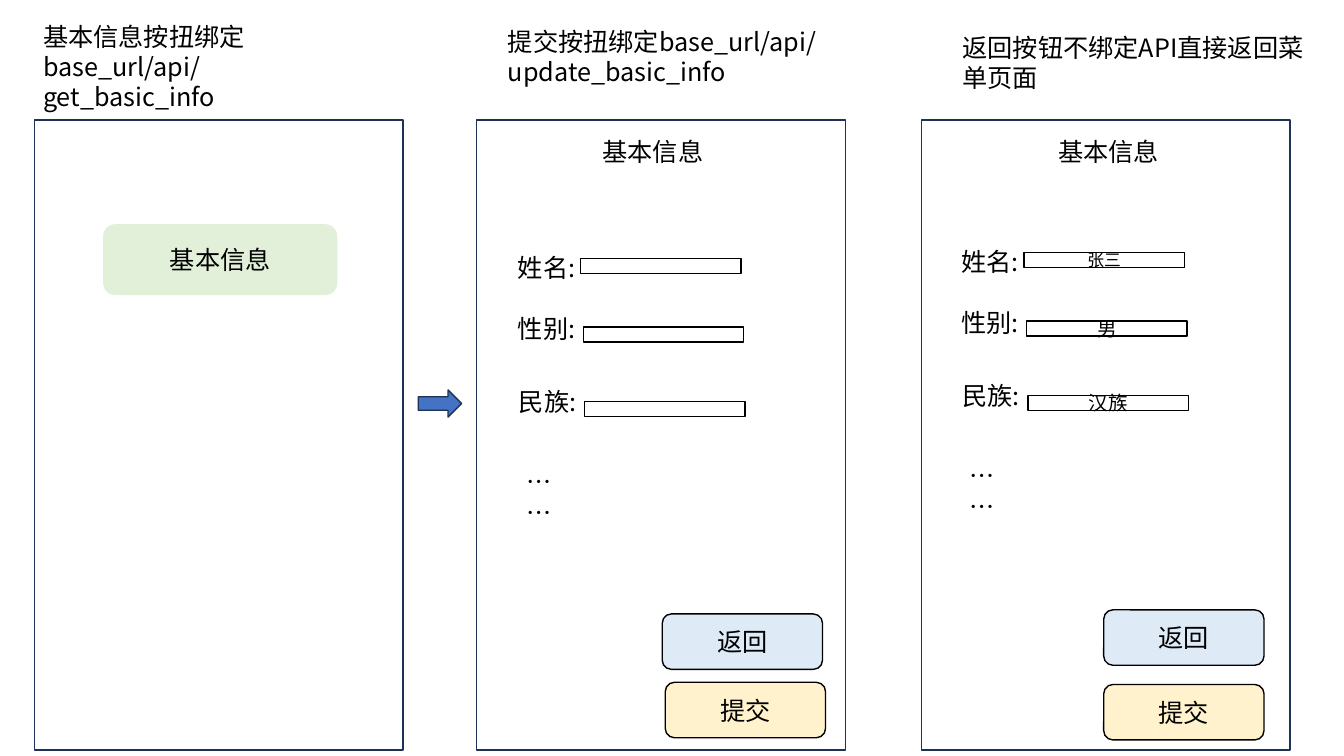
from pptx import Presentation
from pptx.dml.color import RGBColor
from pptx.enum.shapes import MSO_SHAPE
from pptx.enum.text import MSO_ANCHOR, MSO_AUTO_SIZE, PP_ALIGN
from pptx.oxml.ns import qn
from pptx.util import Inches, Pt
from lxml.etree import SubElement

BLACK = RGBColor(0x00, 0x00, 0x00)
NAVY = RGBColor(0x1E, 0x32, 0x56)
BLUE = RGBColor(0x44, 0x72, 0xC4)
GREEN = RGBColor(0xE2, 0xF0, 0xD9)
YELLOW = RGBColor(0xFF, 0xF2, 0xCC)
PALE_BLUE = RGBColor(0xDE, 0xEB, 0xF7)
COLS, ROWS = 40, 24


def write(tf, text, size=18, font="Noto Sans CJK SC", color=BLACK, align=PP_ALIGN.LEFT):
    p = tf.paragraphs[0]
    p.alignment = align
    r = p.add_run()
    r.text = text
    r.font.size = Pt(size)
    r.font.name = font
    r.font.color.rgb = color
    SubElement(r.font._element, qn("a:ea"), typeface=font)


class Wireframe:
    """Places elements on a grid of COLS by ROWS cells."""

    def __init__(self, prs):
        self.s = prs.slides.add_slide(prs.slide_layouts[6])
        self.col = prs.slide_width / COLS
        self.row = prs.slide_height / ROWS

    def box(self, x, y, w, h):
        return [int(v) for v in (x * self.col, y * self.row, w * self.col, h * self.row)]

    def shape(self, kind, x, y, w, h, line=BLACK, fill=None, text="", size=18):
        sp = self.s.shapes.add_shape(kind, *self.box(x, y, w, h))
        sp.shadow.inherit = False
        sp.line.color.rgb = line
        sp.line.width = Pt(1)
        if fill is None:
            sp.fill.background()
        else:
            sp.fill.solid()
            sp.fill.fore_color.rgb = fill
        if text:
            sp.text_frame.vertical_anchor = MSO_ANCHOR.MIDDLE
            write(sp.text_frame, text, size=size, align=PP_ALIGN.CENTER)

    def label(self, text, x, y, w, h=1.28, wrap=True):
        tf = self.s.shapes.add_textbox(*self.box(x, y, w, h)).text_frame
        tf.word_wrap = wrap
        tf.auto_size = MSO_AUTO_SIZE.SHAPE_TO_FIT_TEXT
        write(tf, text)

    def panel(self, x):
        self.shape(MSO_SHAPE.RECTANGLE, x, 3.81, 10.98, 20, line=NAVY)

    def button(self, text, x, y, fill, w=4.77, h=1.76, line=BLACK):
        self.shape(MSO_SHAPE.ROUNDED_RECTANGLE, x, y, w, h, line, fill, text)

    def form(self, x, y, values):
        for (name, dx, dy, field_dx, field_dy), (value, size) in zip(FIELDS, values):
            self.label(name, x + dx, y + dy, 2.28, wrap=False)
            self.shape(MSO_SHAPE.RECTANGLE, x + field_dx, y + dy + field_dy,
                       4.77, 0.48, text=value, size=size)
        self.label("……", x + 0.24, y + 6.82, 1.68)


# Label, its offset in the form, and its field's offset
FIELDS = [
    ("姓名:", 0, 0, 2.16, 0.37),
    ("性别:", 0, 1.94, 2.24, 0.6),
    ("民族:", 0.03, 4.28, 2.28, 0.62),
]
CAPTIONS = [
    ("基本信息按扭绑定base_url/api/get_basic_info", 0.99, 0.51, 9.69),
    ("提交按扭绑定base_url/api/update_basic_info", 14.82, 0.67, 10.8),
    ("返回按钮不绑定API直接返回菜单页面", 28.35, 0.86, 10.8),
]

prs = Presentation()
prs.slide_width, prs.slide_height = Inches(13.33), Inches(7.5)
w = Wireframe(prs)

# Page frames and captions
for x in (1.02, 14.19, 27.42):
    w.panel(x)
for text, x, y, width in CAPTIONS:
    w.label(text, x, y, width, 2.27)

# Menu page and the step to the form
w.button("基本信息", 3.09, 7.14, GREEN, 6.93, 2.21, line=GREEN)
w.shape(MSO_SHAPE.RIGHT_ARROW, 12.45, 12.38, 1.29, 0.86, line=NAVY, fill=BLUE)

# Headings and forms: empty, then filled in
for x in (17.64, 31.2):
    w.label("基本信息", x, 4.16, 5.13)
w.form(15.12, 7.84, [("", 18)] * 3)
w.form(28.32, 7.65, [("张三", 12), ("男", 14), ("汉族", 14)])

# Form buttons
for submit_x, submit_y, back_x, back_y in ((19.8, 21.66, 19.71, 19.49),
                                           (32.85, 21.73, 32.85, 19.36)):
    w.button("提交", submit_x, submit_y, YELLOW)
    w.button("返回", back_x, back_y, PALE_BLUE)

prs.save("out.pptx")
